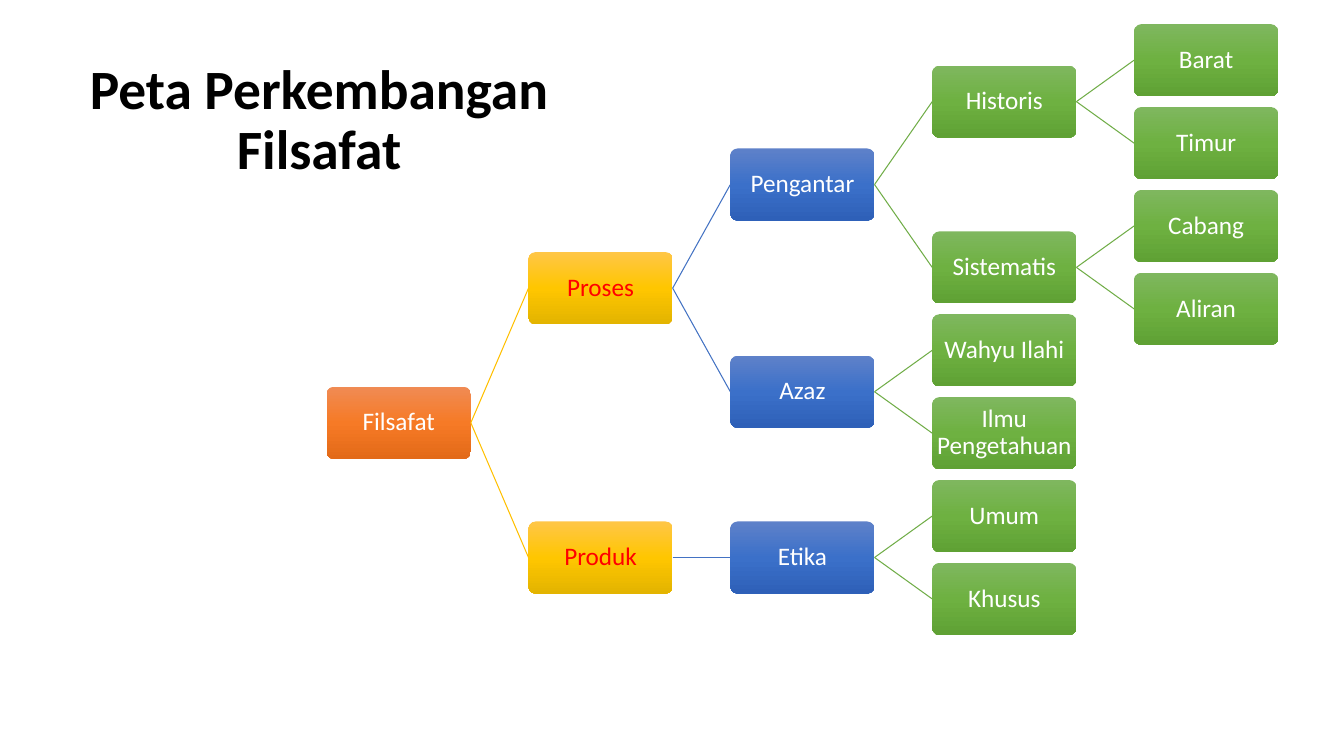
from copy import deepcopy
from lxml import etree
from pptx import Presentation
from pptx.dml.color import RGBColor
from pptx.enum import shapes, text
from pptx.oxml import ns
from pptx.util import Inches, Pt

TITLE = "Peta Perkembangan Filsafat"
TREE = ("Filsafat", [
    ("Proses", [
        ("Pengantar", [
            ("Historis", [("Barat", []), ("Timur", [])]),
            ("Sistematis", [("Cabang", []), ("Aliran", [])]),
        ]),
        ("Azaz", [("Wahyu Ilahi", []), ("Ilmu Pengetahuan", [])]),
    ]),
    ("Produk", [
        ("Etika", [("Umum", []), ("Khusus", [])]),
    ]),
])

ORANGE = {"fill": ("F08B54", "F67A26", "E36A18"), "line": "ED7D31", "font": "FFFFFF"}
GOLD = {"fill": ("FFC647", "FFC600", "E3B400"), "line": "FFC000", "font": "FF0000"}
BLUE = {"fill": ("5E81C9", "3B70C9", "2E60B8"), "line": "4372C3", "font": "FFFFFF"}
GREEN = {"fill": ("7FB75F", "6EB141", "5FA134"), "line": "70AD47", "font": "FFFFFF"}
THEME = {
    "font": "Calibri", "title": 39.6, "label": 18, "ink": "000000", "line": 0.75,
    "levels": (ORANGE, GOLD, BLUE, GREEN, GREEN),
}

LEFT, TOP = 3.24, 0.24
WIDTH = 1.43
HEIGHT = WIDTH / 2
STEP = WIDTH * 1.4
PITCH = HEIGHT * 1.15


def style(frame, size, color, bold=False):
    frame.word_wrap = True
    frame.auto_size = text.MSO_AUTO_SIZE.NONE
    frame.vertical_anchor = text.MSO_ANCHOR.MIDDLE
    par = frame.paragraphs[0]
    par.alignment = text.PP_ALIGN.CENTER
    par.line_spacing = 0.9
    par.font.name = THEME["font"]
    par.font.size = Pt(size)
    par.font.bold = bold
    par.font.color.rgb = RGBColor.from_string(color)


def shade(box, colors):
    box.fill.gradient()
    box.fill.gradient_angle = 270
    stops = box._element.spPr.find(".//" + ns.qn("a:gsLst"))
    stops.insert(1, deepcopy(stops[0]))
    for i, (stop, color) in enumerate(zip(box.fill.gradient_stops, colors)):
        stop.position = i / 2
        stop.color.rgb = RGBColor.from_string(color)


def add_box(slide, label, level, top):
    look = THEME["levels"][level]
    box = slide.shapes.add_shape(
        shapes.MSO_SHAPE.ROUNDED_RECTANGLE, Inches(LEFT + level * STEP),
        Inches(top), Inches(WIDTH), Inches(HEIGHT))
    box.adjustments[0] = 0.1
    box.shadow.inherit = False
    box.line.fill.background()
    shade(box, look["fill"])
    frame = box.text_frame
    frame.text = label
    frame.margin_left = frame.margin_right = Inches(0.01)
    frame.margin_top = frame.margin_bottom = Inches(0.01)
    style(frame, THEME["label"], look["font"])
    return box


def join(slide, box, child, level):
    link = slide.shapes.add_connector(shapes.MSO_CONNECTOR.STRAIGHT, 0, 0, 0, 0)
    link.begin_connect(box, 3)
    link.end_connect(child, 1)
    link.line.width = Pt(THEME["line"])
    link.line.color.rgb = RGBColor.from_string(THEME["levels"][level]["line"])
    etree.SubElement(link._element.spPr, ns.qn("a:effectLst"))


def grow(slide, node, level, last):
    label, kids = node
    grown = [grow(slide, kid, level + 1, last) for kid in kids]
    if grown:
        top = (grown[0][1] + grown[-1][1]) / 2
    else:
        top = last.get(level, TOP - PITCH) + PITCH
    last[level] = top
    box = add_box(slide, label, level, top)
    for child, _ in grown:
        join(slide, box, child, level + 1)
    return box, top


def main():
    deck = Presentation()
    deck.slide_width, deck.slide_height = Inches(13.33), Inches(7.5)
    slide = deck.slides.add_slide(deck.slide_layouts[5])
    title = slide.shapes.title
    title.left, title.top = Inches(0.55), Inches(0.62)
    title.width, title.height = Inches(5.23), Inches(1.17)
    title.text_frame.text = TITLE
    style(title.text_frame, THEME["title"], THEME["ink"], True)
    grow(slide, TREE, 0, {})
    deck.save("out.pptx")


if __name__ == "__main__":
    main()
